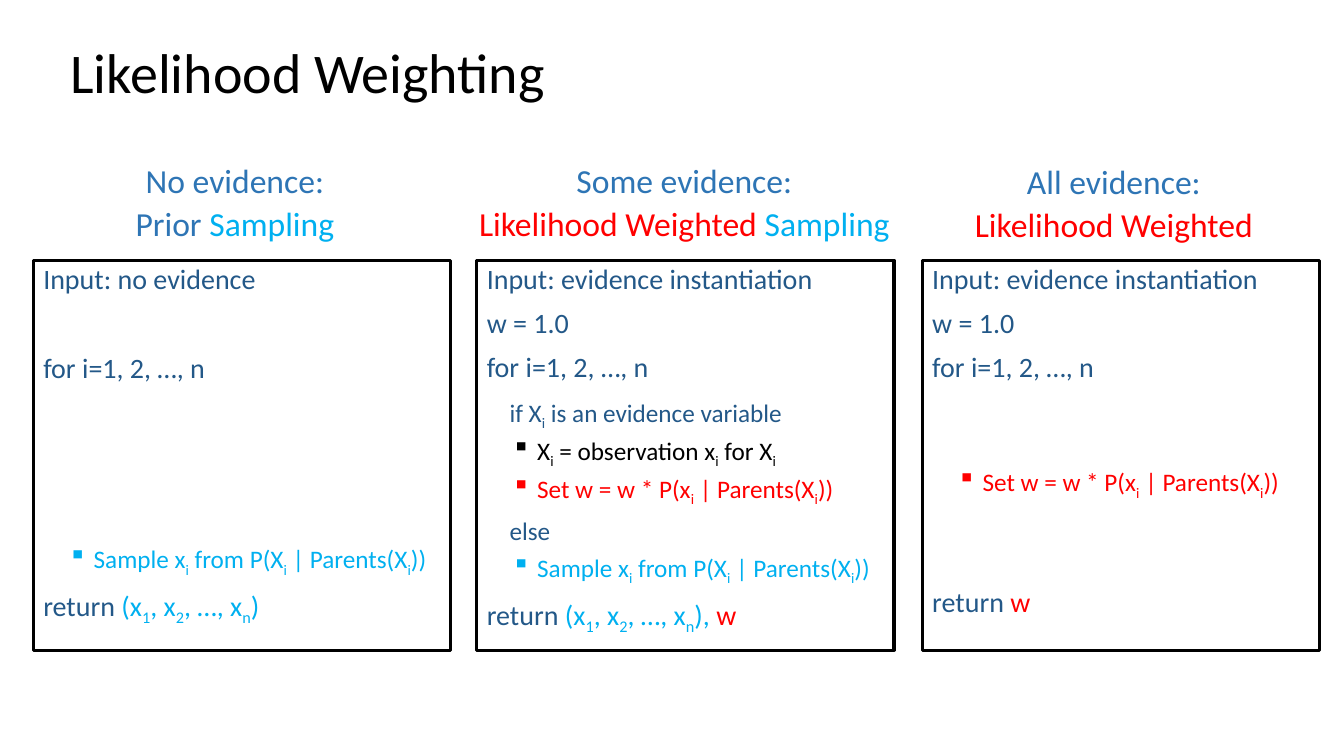
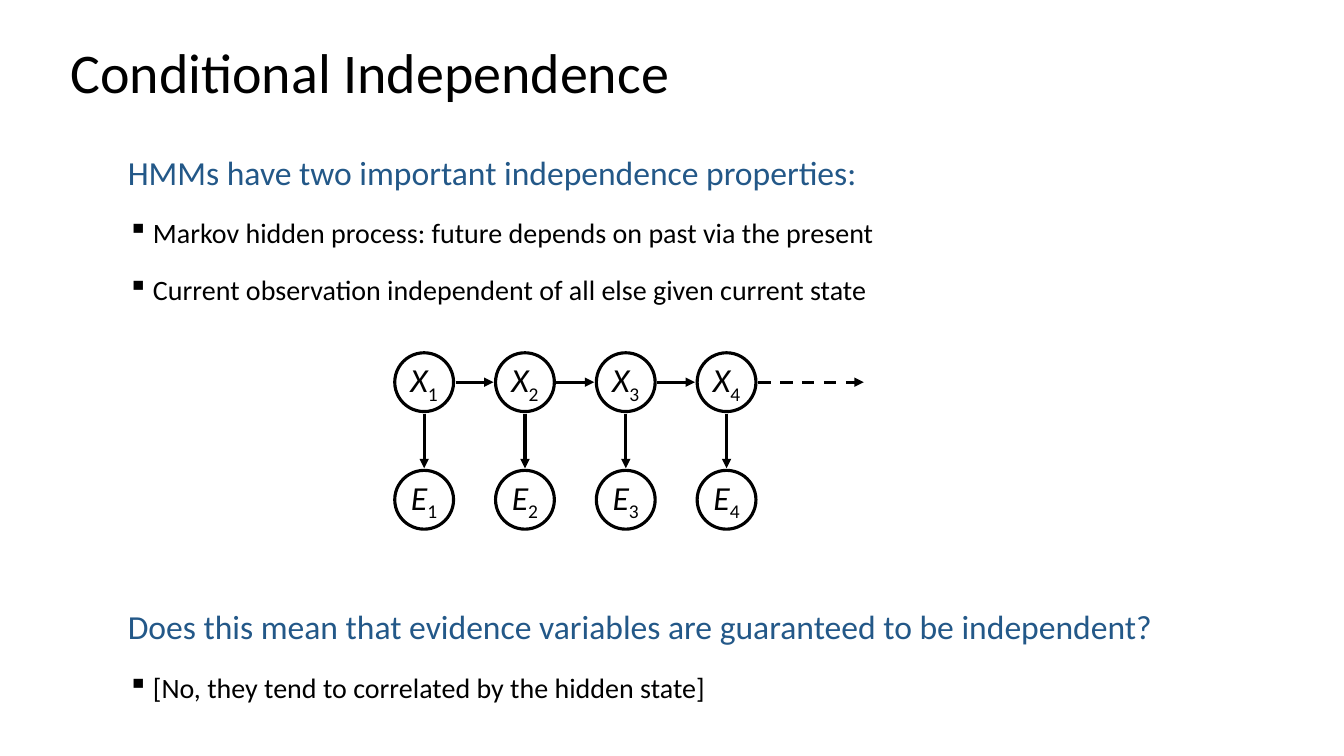
from lxml import etree
from pptx import Presentation
from pptx.dml.color import RGBColor
from pptx.enum.dml import MSO_LINE
from pptx.enum.shapes import MSO_CONNECTOR, MSO_SHAPE
from pptx.enum.text import MSO_ANCHOR, PP_ALIGN
from pptx.oxml.ns import qn
from pptx.util import Pt

LEFT, CENTER = PP_ALIGN.LEFT, PP_ALIGN.CENTER
MIDDLE = MSO_ANCHOR.MIDDLE
RECT, OVAL = MSO_SHAPE.RECTANGLE, MSO_SHAPE.OVAL
STRAIGHT, DASH = MSO_CONNECTOR.STRAIGHT, MSO_LINE.DASH

BLACK = RGBColor(0x00, 0x00, 0x00)
WHITE = RGBColor(0xFF, 0xFF, 0xFF)
NAVY = RGBColor(0x23, 0x58, 0x88)
BLUE = RGBColor(0x2E, 0x75, 0xB5)
CYAN = RGBColor(0x00, 0xB0, 0xF0)
RED = RGBColor(0xFF, 0x00, 0x00)
FONT = "Calibri"
LINE_W = 2.25

# Paragraph styles: text size, space before, left margin, bullet, line spacing
TITLE = dict(size=40, before=0, left=0, bullet=False, spacing=0.9)
HEADING = dict(TITLE, size=24, before=4.8)
CODE = dict(TITLE, size=20, before=10)
BRANCH = dict(CODE, size=18, left=16.3)
STEP = dict(CODE, size=18, before=5, left=36, bullet=True)
LEAD = dict(TITLE, size=24, spacing=0.8)
POINT = dict(LEAD, size=20, before=21.7, left=18, bullet=True)
NODE = dict(TITLE, size=24, spacing=1.0)


def add_text(tf, paras, align=LEFT, italic=False):
    """Write (style, runs) paragraphs; "_" makes the next character a subscript."""
    for i, (style, runs) in enumerate(paras):
        p = tf.paragraphs[0] if i == 0 else tf.add_paragraph()
        pPr = p._p.get_or_add_pPr()
        indent = 18 if style["bullet"] else 0
        pPr.set("marL", str(Pt(style["left"])))
        pPr.set("indent", str(-Pt(indent)))
        if style["bullet"]:
            etree.SubElement(pPr, qn("a:buChar")).set("char", "▪")
        fmt = dict(alignment=align, line_spacing=style["spacing"],
                   space_before=Pt(style["before"] if i else 0))
        for key, value in fmt.items():
            setattr(p, key, value)
        for text, color in runs:
            first, *rest = text.split("_")
            pieces = [(first, False)]
            for part in rest:
                pieces += [(part[0], True), (part[1:], False)]
            for piece, is_sub in pieces:
                if not piece:
                    continue
                r = p.add_run()
                r.text = piece
                fmt = dict(name=FONT, size=Pt(style["size"]), italic=italic and not is_sub)
                for key, value in fmt.items():
                    setattr(r.font, key, value)
                r.font.color.rgb = color
                if is_sub:
                    r._r.get_or_add_rPr().set("baseline", "-25000")


def add_arrow(s, x1, y1, x2, y2, dashed=False):
    c = s.shapes.add_connector(STRAIGHT, Pt(x1), Pt(y1), Pt(x2), Pt(y2))
    c.line.color.rgb = BLACK
    c.line.width = Pt(LINE_W)
    if dashed:
        c.line.dash_style = DASH
    etree.SubElement(c.line._get_or_add_ln(), qn("a:tailEnd")).set("type", "triangle")
    etree.SubElement(c._element.spPr, qn("a:effectLst"))


prs = Presentation()
prs.slide_width, prs.slide_height = Pt(960), Pt(540)

# Slides with their titles
slides = []
for title in ("Likelihood Weighting", "Conditional Independence"):
    s = prs.slides.add_slide(prs.slide_layouts[6])
    tf = s.shapes.add_textbox(Pt(43.2), Pt(28.8), Pt(828), Pt(49.7)).text_frame
    tf.word_wrap = True
    tf.vertical_anchor = MIDDLE
    add_text(tf, [(TITLE, [(title, BLACK)])])
    slides.append(s)
weighting, independence = slides

# Algorithm lines used in several columns
evidence = (CODE, [("Input: evidence instantiation", NAVY)])
init = (CODE, [("w = 1.0", NAVY)])
loop = (CODE, [("for i=1, 2, …, n", NAVY)])
set_weight = [("Set w = w * P(x_i | Parents(X_i))", RED)]
sample = [("Sample x_i from P(X_i | Parents(X_i))", CYAN)]
ret = ("return ", NAVY)

# Columns: heading left, top, width; box left, width; heading lines; code lines
columns = [
    ((23.8, 113.8, 288), (23.8, 298),
     [[("No evidence:", BLUE)], [("Prior ", BLUE), ("Sampling", CYAN)]],
     [(CODE, [("Input: no evidence", NAVY)]),
      (dict(CODE, before=42), loop[1]),
      (dict(STEP, before=114), sample),
      (CODE, [ret, ("(x_1, x_2, …, x_n)", CYAN)])]),
    ((329.8, 113.8, 318), (340.6, 298),
     [[("Some evidence:", BLUE)], [("Likelihood Weighted ", RED), ("Sampling", CYAN)]],
     [evidence, init, loop,
      (BRANCH, [("if X_i is an evidence variable", NAVY)]),
      (STEP, [("X_i = observation x_i for X_i", BLACK)]),
      (STEP, set_weight),
      (BRANCH, [("else", NAVY)]),
      (STEP, sample),
      (CODE, [ret, ("(x_1, x_2, …, x_n), ", CYAN), ("w", RED)])]),
    ((657.4, 114.5, 276.5), (658.8, 283.7),
     [[("All evidence:", BLUE)], [("Likelihood Weighted", RED)]],
     [evidence, init, loop,
      (dict(STEP, before=59.5), set_weight),
      (dict(CODE, before=64.5), [ret, ("w", RED)])]),
]
for (x, y, w), (box_x, box_w), heading, code in columns:
    tf = weighting.shapes.add_textbox(Pt(x), Pt(y), Pt(w), Pt(72)).text_frame
    tf.word_wrap = True
    add_text(tf, [(HEADING, runs) for runs in heading], CENTER)

    sp = weighting.shapes.add_shape(RECT, Pt(box_x), Pt(185.8), Pt(box_w), Pt(278.6))
    sp.shadow.inherit = False
    sp.fill.background()
    sp.line.color.rgb = BLACK
    sp.line.width = Pt(LINE_W)
    tf = sp.text_frame
    tf.word_wrap = True
    tf.vertical_anchor = MSO_ANCHOR.TOP
    add_text(tf, code)

# Independence properties
tf = independence.shapes.add_textbox(Pt(84.2), Pt(110.2), Pt(858.2), Pt(372.2)).text_frame
tf.word_wrap = True
add_text(tf, [
    (LEAD, [("HMMs have two important independence properties:", NAVY)]),
    (POINT, [("Markov hidden process: future depends on past via the present", BLACK)]),
    (POINT, [("Current observation independent of all else given current state", BLACK)]),
    (dict(LEAD, before=220),
     [("Does this mean that evidence variables are guaranteed to be independent?", NAVY)]),
    (POINT, [("[No, they tend to correlated by the hidden state]", BLACK)]),
])

# Hidden Markov model: states above, evidence below
STEPS, NODE_D, NODE_X, PITCH, GAP = 4, 42, 282, 72, 1.5
STATE_Y, EVIDENCE_Y = 252, 336
mid_y = STATE_Y + NODE_D / 2
for i in range(STEPS):
    x = NODE_X + i * PITCH
    for letter, y in (("X", STATE_Y), ("E", EVIDENCE_Y)):
        sp = independence.shapes.add_shape(OVAL, Pt(x), Pt(y), Pt(NODE_D), Pt(NODE_D))
        sp.shadow.inherit = False
        sp.fill.solid()
        sp.fill.fore_color.rgb = WHITE
        sp.line.color.rgb = BLACK
        sp.line.width = Pt(LINE_W)
        tf = sp.text_frame
        tf.word_wrap = False
        tf.vertical_anchor = MIDDLE
        add_text(tf, [(NODE, [(f"{letter}_{i + 1}", BLACK)])], CENTER, italic=True)
    mid_x = x + NODE_D / 2
    add_arrow(independence, mid_x, STATE_Y + NODE_D + GAP, mid_x, EVIDENCE_Y - GAP)
    is_last = i == STEPS - 1
    end_x = 617 if is_last else x + PITCH - GAP
    add_arrow(independence, x + NODE_D + GAP, mid_y, end_x, mid_y, dashed=is_last)

prs.save("out.pptx")
